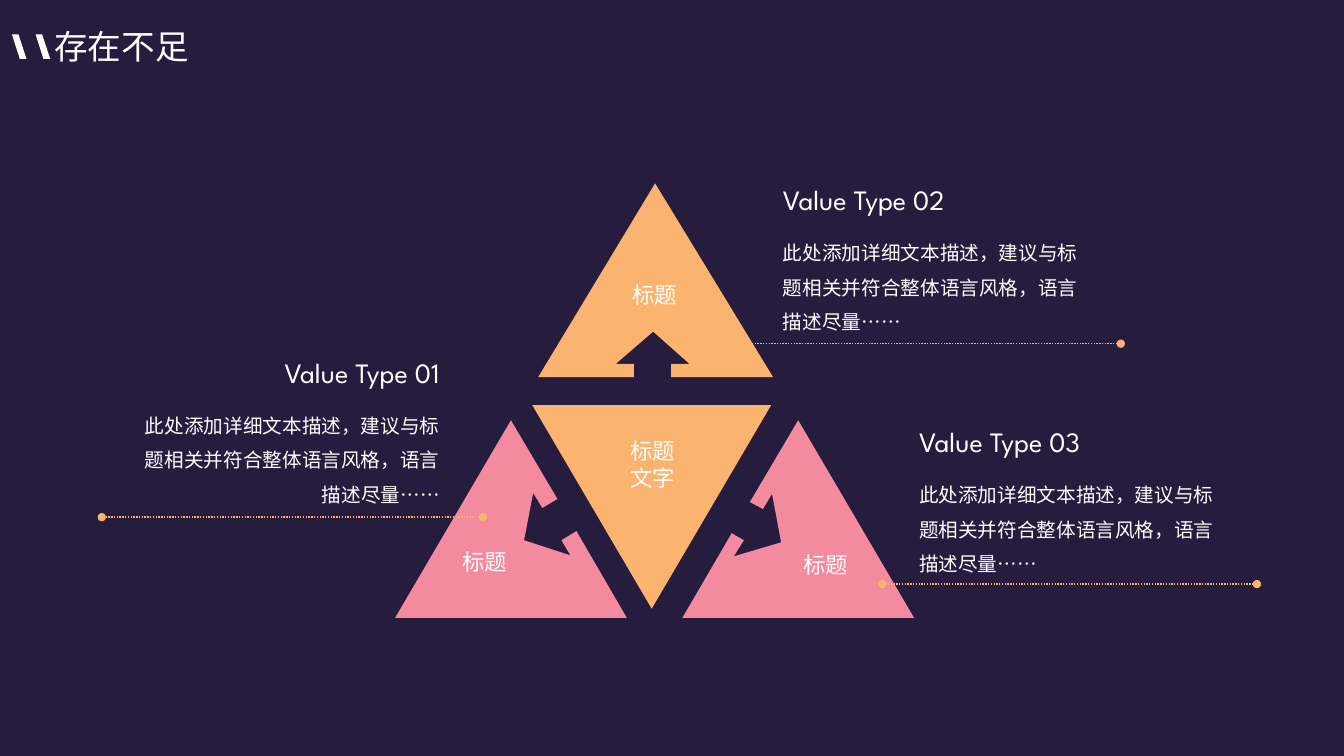
from lxml import etree
from pptx import Presentation
from pptx.dml.color import RGBColor
from pptx.enum.dml import MSO_LINE
from pptx.enum.shapes import MSO_CONNECTOR, MSO_SHAPE
from pptx.enum.text import MSO_AUTO_SIZE, PP_ALIGN
from pptx.oxml.ns import qn
from pptx.util import Pt

STRAIGHT = MSO_CONNECTOR.STRAIGHT
TRIANGLE = MSO_SHAPE.ISOSCELES_TRIANGLE
ROUND_DOT = MSO_LINE.ROUND_DOT
FIT_SHAPE = MSO_AUTO_SIZE.SHAPE_TO_FIT_TEXT
LEFT, CENTER, RIGHT = PP_ALIGN.LEFT, PP_ALIGN.CENTER, PP_ALIGN.RIGHT

LATIN_FONT, CHINESE_FONT = "League Spartan", "Noto Sans CJK SC"
NAVY, WHITE, ORANGE, PINK = "261C3E", "FFFFFF", "FAB470", "F38A9D"
DESCRIPTION = "此处添加详细文本描述，建议与标题相关并符合整体语言风格，语言描述尽量……"


def paint(fill, color):
    fill.solid()
    fill.fore_color.rgb = RGBColor.from_string(color)


def style(paragraph, font_name, size, align):
    paragraph.alignment = align
    for run in paragraph.runs:
        run.font.name = font_name
        run.font.size = Pt(size)
        paint(run.font.fill, WHITE)
        east_asian = etree.SubElement(run.font._element, qn("a:ea"))
        east_asian.set("typeface", CHINESE_FONT)


prs = Presentation()
prs.slide_width, prs.slide_height = Pt(960), Pt(540)
slide = prs.slides.add_slide(prs.slide_layouts[6])
paint(slide.background.fill, NAVY)
shapes = slide.shapes

# Heading with its two slanted bars
heading = shapes.add_textbox(Pt(31.7), Pt(15.1), Pt(159), Pt(36)).text_frame
heading.word_wrap = True
heading.auto_size = FIT_SHAPE
heading.text = "存在不足"
style(heading.paragraphs[0], LATIN_FONT, 24, LEFT)

slanted_bars = [
    [(x, 24.5), (x + 4.7, 24.5), (x + 10.4, 42), (x + 5.6, 42)] for x in (8.5, 25.4)
]

# Outer triangles, each notched by an arrow
top_triangle = [
    (468, 131), (552.2, 269.3), (479.5, 269.3), (479.5, 259.9), (492.5, 259.9),
    (466.6, 236.9), (439.9, 259.9), (452.9, 259.9), (452.9, 269.3), (384.5, 269.3),
]
right_triangle = [
    (570.2, 300.2), (653, 441.4), (487.4, 441.4), (522.7, 380.9), (531.4, 385.9),
    (524.2, 397.4), (558, 387.4), (551.5, 352.8), (545, 363.6), (535.7, 358.6),
]
left_triangle = [
    (365, 300.2), (398.2, 356.4), (387.4, 362.9), (380.9, 352.1), (374.4, 385.9),
    (407.5, 396.7), (401, 385.9), (411.8, 379.4), (447.8, 441.4), (282.2, 441.4),
]
for contours, color in (
    (slanted_bars, WHITE),
    ([right_triangle], PINK),
    ([top_triangle], ORANGE),
    ([left_triangle], PINK),
):
    points = [[(Pt(x), Pt(y)) for x, y in contour] for contour in contours]
    builder = shapes.build_freeform(*points[0][0], scale=1.0)
    builder.add_line_segments(points[0][1:], close=True)
    for contour in points[1:]:
        builder.move_to(*contour[0])
        builder.add_line_segments(contour[1:], close=True)
    outline = builder.convert_to_shape()
    outline.shadow.inherit = False
    paint(outline.fill, color)
    outline.line.fill.background()

center_triangle = shapes.add_shape(TRIANGLE, Pt(380.2), Pt(289.4), Pt(170.6), Pt(145.4))
center_triangle.rotation = 180
center_triangle.shadow.inherit = False
paint(center_triangle.fill, ORANGE)
center_triangle.line.fill.background()

# Triangle labels
for text, left, top, width, height, wraps in (
    ("标题\n文字", 427.7, 308.9, 77, 46.1, True),
    ("标题", 566.6, 390.2, 46.8, 26.6, False),
    ("标题", 444.2, 197.3, 46.8, 26.6, False),
    ("标题", 322.6, 388.1, 46.8, 26.6, False),
):
    label = shapes.add_textbox(Pt(left), Pt(top), Pt(width), Pt(height)).text_frame
    label.word_wrap = wraps
    label.auto_size = FIT_SHAPE
    label.text = text
    for paragraph in label.paragraphs:
        style(paragraph, CHINESE_FONT, 16, CENTER)

# Dotted leader lines with round ends
for start, end, y in ((800.6, 532.8, 245.5), (344.9, 72.7, 369.4), (897.8, 630, 417.2)):
    leader = shapes.add_connector(STRAIGHT, Pt(start), Pt(y), Pt(end), Pt(y))
    leader.line.width = Pt(1)
    paint(leader.line.fill, ORANGE)
    leader.line.dash_style = ROUND_DOT
    properties = leader._element.spPr
    line_xml = properties.find(qn("a:ln"))
    for tag in ("a:headEnd", "a:tailEnd"):
        etree.SubElement(line_xml, qn(tag)).set("type", "oval")
    etree.SubElement(properties, qn("a:effectLst"))

# Value descriptions
for number, left, top, align in (
    ("01", 88.6, 256.3, RIGHT),
    ("03", 649.4, 306, LEFT),
    ("02", 552.2, 133.2, LEFT),
):
    value = shapes.add_textbox(Pt(left), Pt(top), Pt(232.6), Pt(166.3)).text_frame
    value.word_wrap = True
    value.text = f"Value Type {number}\n{DESCRIPTION}"
    name, description = value.paragraphs
    style(name, LATIN_FONT, 20, align)
    name.line_spacing = Pt(17.8)
    style(description, CHINESE_FONT, 14, align)
    description.line_spacing = Pt(24.6)
    description.space_before = Pt(10)

prs.save("out.pptx")
